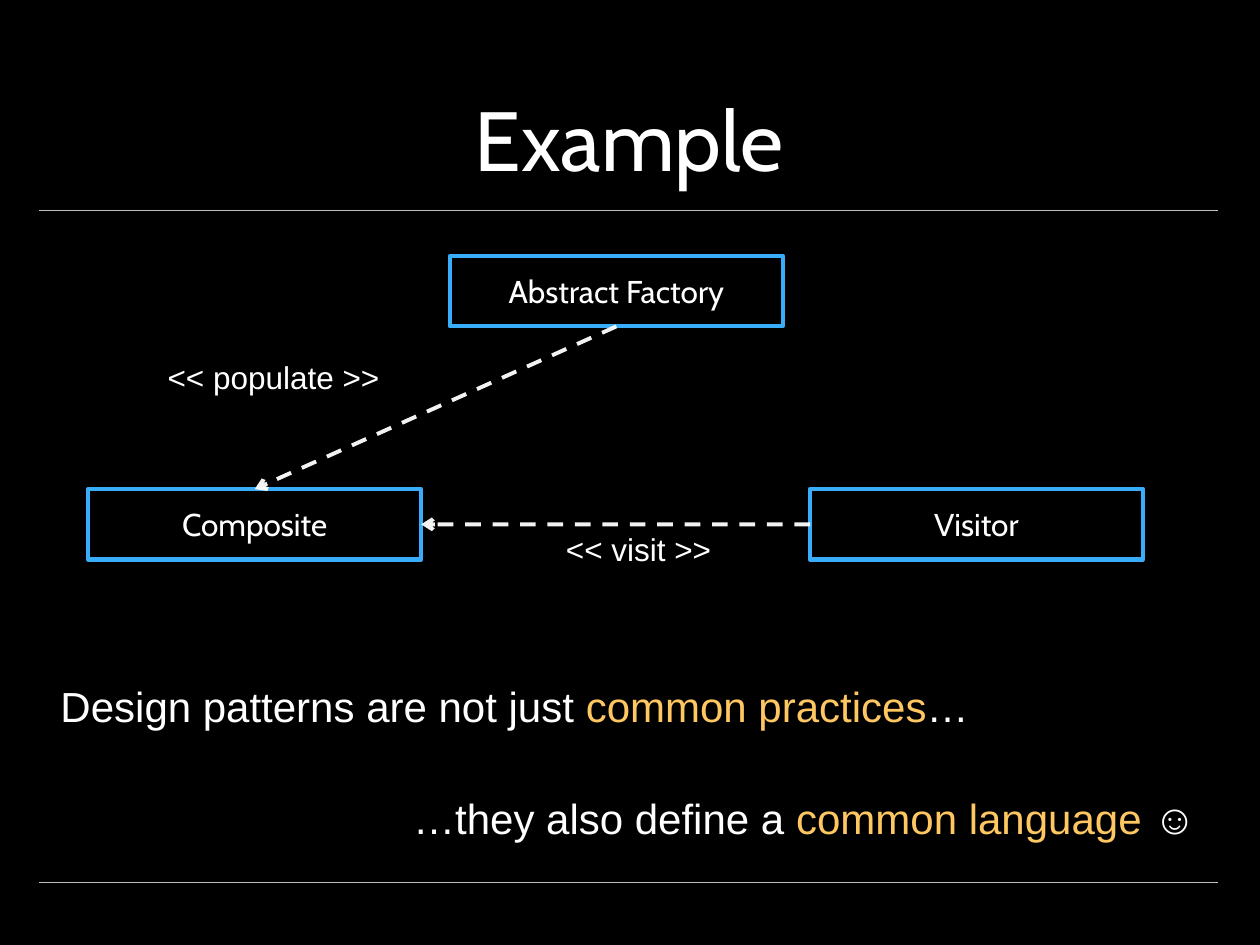
from dataclasses import dataclass

from lxml.etree import SubElement
from pptx import Presentation
from pptx.dml.color import RGBColor
from pptx.enum.dml import MSO_LINE
from pptx.enum.shapes import MSO_CONNECTOR, MSO_SHAPE
from pptx.enum.text import MSO_ANCHOR, PP_ALIGN
from pptx.oxml.ns import qn
from pptx.shapes.autoshape import Shape
from pptx.shapes.connector import Connector
from pptx.slide import Slide
from pptx.text.text import Font
from pptx.util import Cm, Pt

WHITE, BLACK, GREY = "FFFFFF", "000000", "BFBFBF"
BLUE, AMBER = "39ADF9", "FFC762"
HEADING_FONT, BODY_FONT = "Cabin", "Arial"
BOX_WIDTH, BOX_HEIGHT = 6.71, 1.42
TOP, LEFT, BOTTOM, RIGHT = range(4)  # connection sites of a rectangle


@dataclass
class Pattern:
    name: str
    left: float
    top: float


@dataclass
class Relation:
    source: str
    source_site: int
    target: str
    target_site: int


@dataclass
class Caption:
    left: float
    top: float
    width: float
    height: float
    size: int
    align: PP_ALIGN
    runs: list[tuple[str, str]]  # text and colour


PATTERNS = [
    Pattern("Abstract Factory", 9.07, 5.16),
    Pattern("Composite", 1.78, 9.86),
    Pattern("Visitor", 16.33, 9.86),
]
RELATIONS = [
    Relation("Visitor", LEFT, "Composite", RIGHT),
    Relation("Abstract Factory", BOTTOM, "Composite", TOP),
]
CAPTIONS = [
    Caption(10.74, 10.57, 4.27, 1.02, 18, PP_ALIGN.CENTER, [("<< visit >>", WHITE)]),
    Caption(2.72, 7.09, 5.59, 1.02, 18, PP_ALIGN.CENTER, [("<< populate >>", WHITE)]),
    Caption(0.97, 13.59, 19, 1.27, 24, PP_ALIGN.LEFT, [
        ("Design patterns are not just ", WHITE),
        ("common practices", AMBER),
        ("…", WHITE),
    ]),
    Caption(8.08, 15.85, 16.54, 1.27, 24, PP_ALIGN.LEFT, [
        ("…they also define a ", WHITE),
        ("common language ", AMBER),
        ("☺", WHITE),
    ]),
]


def rgb(code: str) -> RGBColor:
    return RGBColor.from_string(code)


def set_font(font: Font, name: str, size: int, color: str = WHITE) -> None:
    font.name = name
    font.size = Pt(size)
    font.color.rgb = rgb(color)


def add_title(slide: Slide, text: str) -> None:
    title = slide.shapes.title
    title.left, title.top, title.width, title.height = Cm(1.78), Cm(0.3), Cm(21.82), Cm(3.63)
    title.text_frame.text = text
    title.text_frame.vertical_anchor = MSO_ANCHOR.BOTTOM
    paragraph = title.text_frame.paragraphs[0]
    paragraph.alignment = PP_ALIGN.CENTER
    set_font(paragraph.font, HEADING_FONT, 48)


def add_line(slide: Slide, start: tuple[float, float], end: tuple[float, float],
             color: str, width: float) -> Connector:
    line = slide.shapes.add_connector(
        MSO_CONNECTOR.STRAIGHT, *(Cm(value) for value in (*start, *end)))
    line.line.color.rgb = rgb(color)
    line.line.width = Pt(width)
    SubElement(line._element.spPr, qn("a:effectLst"))
    return line


def add_pattern(slide: Slide, pattern: Pattern) -> Shape:
    box = slide.shapes.add_shape(MSO_SHAPE.RECTANGLE, Cm(pattern.left), Cm(pattern.top),
                                 Cm(BOX_WIDTH), Cm(BOX_HEIGHT))
    box.shadow.inherit = False
    box.fill.background()
    box.line.color.rgb = rgb(BLUE)
    box.line.width = Pt(2.5)
    box.text_frame.text = pattern.name
    box.text_frame.vertical_anchor = MSO_ANCHOR.MIDDLE
    paragraph = box.text_frame.paragraphs[0]
    paragraph.alignment = PP_ALIGN.CENTER
    set_font(paragraph.font, HEADING_FONT, 18)
    return box


def add_relation(slide: Slide, relation: Relation, boxes: dict[str, Shape]) -> None:
    """Join two pattern boxes with a dashed, slightly transparent arrow."""
    arrow = add_line(slide, (0, 0), (0, 0), WHITE, 2.25)
    arrow.begin_connect(boxes[relation.source], relation.source_site)
    arrow.end_connect(boxes[relation.target], relation.target_site)
    arrow.line.dash_style = MSO_LINE.DASH
    outline = arrow.line._get_or_add_ln()
    SubElement(outline.find(".//" + qn("a:srgbClr")), qn("a:alpha"), val="95000")
    SubElement(outline, qn("a:tailEnd"), type="arrow")


def add_caption(slide: Slide, caption: Caption) -> None:
    box = slide.shapes.add_textbox(Cm(caption.left), Cm(caption.top),
                                   Cm(caption.width), Cm(caption.height))
    box.text_frame.word_wrap = True
    paragraph = box.text_frame.paragraphs[0]
    paragraph.alignment = caption.align
    for text, color in caption.runs:
        run = paragraph.add_run()
        run.text = text
        set_font(run.font, BODY_FONT, caption.size, color)


def main() -> None:
    presentation = Presentation()
    presentation.slide_width, presentation.slide_height = Cm(25.4), Cm(19.05)
    slide = presentation.slides.add_slide(presentation.slide_layouts.get_by_name("Title Only"))
    slide.background.fill.solid()
    slide.background.fill.fore_color.rgb = rgb(BLACK)

    for rule_top in (4.24, 17.78):
        add_line(slide, (0.79, rule_top), (24.56, rule_top), GREY, 0.25)
    add_title(slide, "Example")
    boxes = {pattern.name: add_pattern(slide, pattern) for pattern in PATTERNS}
    for relation in RELATIONS:
        add_relation(slide, relation, boxes)
    for caption in CAPTIONS:
        add_caption(slide, caption)

    presentation.save("out.pptx")


if __name__ == "__main__":
    main()
